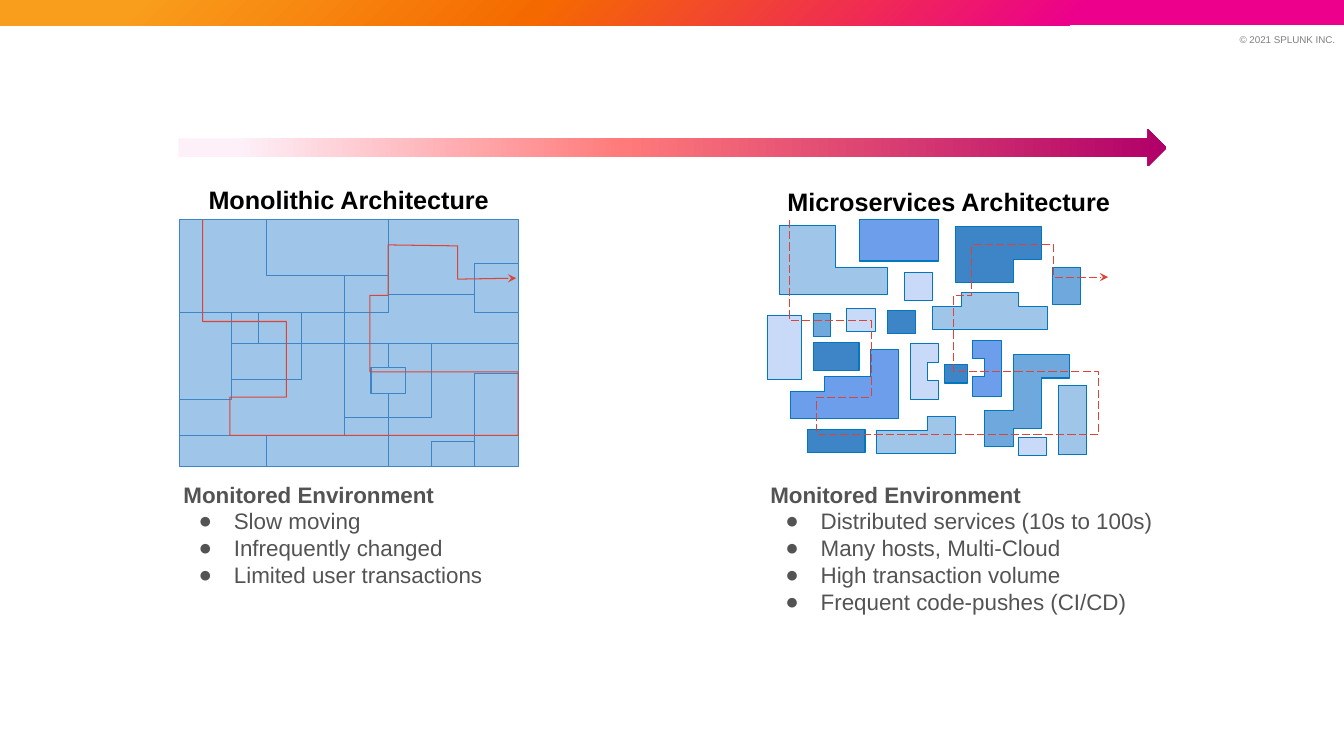
from dataclasses import dataclass
from lxml.etree import SubElement
from pptx import Presentation
from pptx.dml.color import RGBColor
from pptx.enum.dml import MSO_LINE
from pptx.enum.shapes import MSO_SHAPE
from pptx.enum.text import MSO_ANCHOR, PP_ALIGN
from pptx.oxml.ns import qn
from pptx.util import Pt

COPYRIGHT = "© 2021 SPLUNK INC."
HEADINGS = [
    ("Monolithic Architecture", (128, 183, 436, 30)),
    ("Microservices Architecture", (714, 185, 454, 30)),
]
ENVIRONMENT = "Monitored Environment"
TRAITS = [
    (["Slow moving", "Infrequently changed", "Limited user transactions"],
     (177, 472, 337, 136)),
    (["Distributed services (10s to 100s)", "Many hosts, Multi-Cloud",
      "High transaction volume", "Frequent code-pushes (CI/CD)"],
     (759, 472, 416, 150)),
]

MONOLITH = [("pale", corners) for corners in [
    (178, 218, 264, 273, 342, 310),
    (264, 218, 385, 273),
    (385, 218, 514, 261, 471, 292),
    (342, 273, 385, 310),
    (471, 261, 514, 310),
    (385, 292, 471, 310, 514, 341, 342, 310),
    (178, 310, 230, 396),
    (299, 310, 342, 341),
    (256, 310, 299, 341),
    (230, 310, 256, 341),
    (178, 432, 342, 341, 299, 377, 230, 396),
    (230, 341, 299, 377),
    (178, 432, 264, 463),
    (368, 365, 402, 390),
    (385, 414, 342, 341, 385, 365, 368, 390),
    (385, 341, 428, 414, 385, 390, 402, 365),
    (385, 463, 264, 432, 342, 414),
    (471, 371, 514, 463),
    (428, 438, 471, 463),
    (514, 371, 471, 438, 428, 463, 385, 414, 428, 341),
]]
MONOLITH_ROUTE = [
    (201, 218), (201, 319), (284, 319), (284, 394), (228, 394), (228, 432),
    (514, 432), (514, 369), (367, 369), (367, 293), (385, 293), (385, 243),
    (454, 244), (454, 277), (512, 276),
]
SERVICES = [
    ("deep", (801, 426, 858, 449)),
    ("deep", (937, 362, 960, 380)),
    ("pale", (948, 450, 869, 427, 920, 413)),
    ("pale", (1050, 382, 1078, 451)),
    ("mist", (1010, 434, 1038, 452)),
    ("pale", (773, 224, 829, 265, 880, 292)),
    ("bright", (852, 218, 931, 259)),
    ("deep", (948, 225, 1033, 257, 1005, 280)),
    ("mist", (897, 270, 925, 298)),
    ("middle", (1044, 265, 1072, 302)),
    ("pale", (954, 290, 1010, 304, 1039, 327, 925, 304)),
    ("mist", (761, 313, 795, 377)),
    ("deep", (880, 308, 908, 331)),
    ("mist", (840, 306, 868, 329)),
    ("middle", (807, 311, 824, 334)),
    ("bright", (784, 415, 891, 347, 863, 374, 818, 388)),
    ("deep", (807, 340, 852, 368)),
    ("mist", (931, 396, 903, 341, 931, 360, 920, 378)),
    ("bright", (965, 338, 993, 393, 965, 374, 976, 356)),
    ("middle", (1061, 375, 1033, 425, 1005, 443, 976, 407, 1005, 352)),
]
SERVICES_ROUTE = [
    (783, 218), (783, 318), (864, 318), (864, 394), (810, 394), (810, 431),
    (1090, 431), (1090, 369), (946, 369), (946, 293), (964, 293), (964, 243),
    (1045, 243), (1045, 275), (1099, 275),
]
PX = 9144


@dataclass(frozen=True)
class Theme:
    font: str = "Arial"
    pale: str = "9FC5E8"
    mist: str = "C9DAF8"
    bright: str = "6D9EEB"
    middle: str = "6FA8DC"
    deep: str = "3D85C6"
    service_edge: str = "0277BD"
    route: str = "DB4437"
    heading: str = "000000"
    body: str = "535353"
    small: str = "7F7F7F"
    heading_size: int = 18
    body_size: int = 16
    small_size: int = 7
    edge_width: float = 0.75
    banner: tuple = ((0, "F99D1C"), (10, "F99D1C"), (40, "F56A00"),
                     (80, "EC008C"), (100, "EC008C"))
    arrow: tuple = ((0, "FEF0F9"), (6, "FEF0F9"), (45, "FF7A7A"), (100, "B10069"))


THEME = Theme()


def color(code):
    return RGBColor.from_string(code)


def scaled(frame):
    return [length * PX for length in frame]


def outline(shape, code):
    shape.shadow.inherit = False
    shape.line.color.rgb = color(code)
    shape.line.width = Pt(THEME.edge_width)


def add_gradient(page, kind, frame, stops, radial=False):
    shape = page.shapes.add_shape(kind, *scaled(frame))
    shape.shadow.inherit = False
    shape.line.fill.background()
    shape.fill.gradient()
    gradient = shape._element.spPr.find(qn("a:gradFill"))
    for child in list(gradient):
        gradient.remove(child)
    stop_list = SubElement(gradient, qn("a:gsLst"))
    for percent, code in stops:
        stop = SubElement(stop_list, qn("a:gs"), pos=str(percent * 1000))
        SubElement(stop, qn("a:srgbClr"), val=code)
    if radial:
        circle = SubElement(gradient, qn("a:path"), {"path": "circle"})
        SubElement(circle, qn("a:fillToRect"), r="100000", b="100000")
    else:
        SubElement(gradient, qn("a:lin"), ang="0", scaled="0")


def add_text(page, lines, frame, *, size, code, bold=False, align=PP_ALIGN.LEFT,
             anchor=MSO_ANCHOR.TOP, inset=(10, 10), bullets=()):
    box = page.shapes.add_textbox(*scaled(frame))
    text = box.text_frame
    text.word_wrap = True
    text.vertical_anchor = anchor
    text.margin_left = text.margin_right = inset[0] * PX
    text.margin_top = text.margin_bottom = inset[1] * PX
    for index, line in enumerate([*lines, *bullets]):
        para = text.add_paragraph() if index else text.paragraphs[0]
        para.alignment = align
        bulleted = index >= len(lines)
        if bulleted:
            properties = para._p.get_or_add_pPr()
            properties.set("marL", str(50 * PX))
            properties.set("indent", str(-35 * PX))
            bullet_color = SubElement(properties, qn("a:buClr"))
            SubElement(bullet_color, qn("a:srgbClr"), val=code)
            SubElement(properties, qn("a:buFont"), typeface=THEME.font)
            SubElement(properties, qn("a:buChar"), char="●")
        span = para.add_run()
        span.text = line
        span.font.name = THEME.font
        span.font.size = Pt(size)
        span.font.bold = bold and not bulleted
        span.font.color.rgb = color(code)


def add_outline(group, points, close):
    builder = group.shapes.build_freeform(*points[0], scale=PX)
    builder.add_line_segments(points[1:], close=close)
    return builder.convert_to_shape()


def add_block(group, corners, fill, edge):
    xs, ys = corners[::2], corners[1::2]
    if len(corners) == 4:
        frame = (xs[0], ys[0], xs[1] - xs[0], ys[1] - ys[0])
        block = group.shapes.add_shape(MSO_SHAPE.RECTANGLE, *scaled(frame))
    else:
        points = [point for x, following, y in zip(xs, xs[1:] + xs[:1], ys)
                  for point in ((x, y), (following, y))]
        block = add_outline(group, points, True)
    block.fill.solid()
    block.fill.fore_color.rgb = color(fill)
    outline(block, edge)


def add_architecture(page, blocks, edge, route, dash=None):
    group = page.shapes.add_group_shape()
    for shade, corners in blocks:
        add_block(group, corners, getattr(THEME, shade), edge)
    trace = add_outline(group, route, False)
    trace.fill.background()
    outline(trace, THEME.route)
    if dash:
        trace.line.dash_style = dash
    SubElement(trace._element.spPr.find(qn("a:ln")), qn("a:tailEnd"), type="stealth")


def main():
    deck = Presentation()
    deck.slide_width, deck.slide_height = scaled((1333, 750))
    page = deck.slides.add_slide(deck.slide_layouts[6])
    add_text(page, [COPYRIGHT], (1188, 29, 146, 20), size=THEME.small_size,
             code=THEME.small, align=PP_ALIGN.RIGHT, inset=(10, 5))
    add_gradient(page, MSO_SHAPE.RECTANGLE, (0, 0, 1333, 25), THEME.banner, radial=True)
    add_architecture(page, MONOLITH, THEME.deep, MONOLITH_ROUTE)
    add_architecture(page, SERVICES, THEME.service_edge, SERVICES_ROUTE, MSO_LINE.LONG_DASH)
    for heading, frame in HEADINGS:
        add_text(page, [heading], frame, size=THEME.heading_size, code=THEME.heading,
                 bold=True, align=PP_ALIGN.CENTER, anchor=MSO_ANCHOR.MIDDLE)
    for traits, frame in TRAITS:
        add_text(page, [ENVIRONMENT], frame, size=THEME.body_size, code=THEME.body,
                 bold=True, inset=(5, 5), bullets=traits)
    add_gradient(page, MSO_SHAPE.RIGHT_ARROW, (177, 128, 980, 37), THEME.arrow)
    deck.save("out.pptx")


if __name__ == "__main__":
    main()
